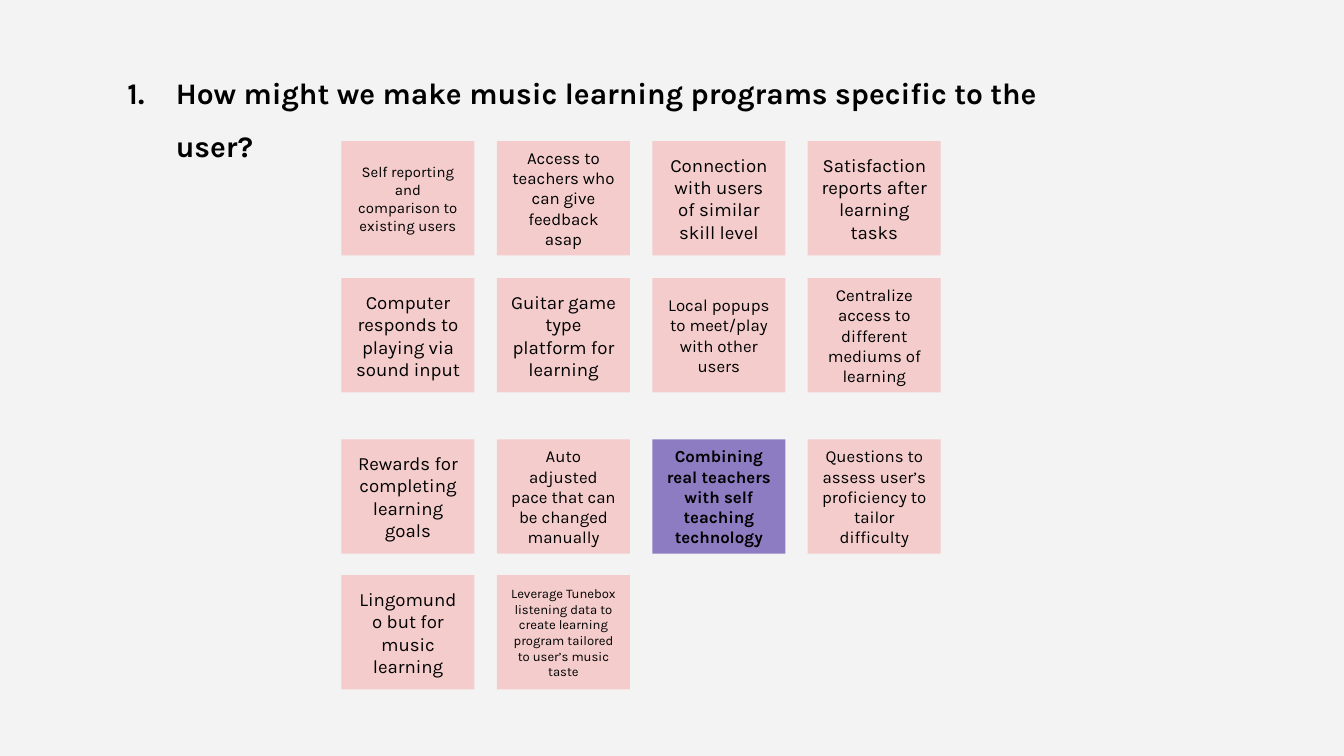
import pptx
import pptx.dml.color
import pptx.enum.shapes
import pptx.enum.text
import pptx.oxml
import pptx.oxml.ns
import pptx.util
from pptx.util import Inches

INK, PAPER, PINK, PURPLE = "000000", "F3F3F3", "F4CCCC", "8E7CC3"
LEFT, SPAN = 2.54, 3.47  # first column, and from first to last column


def paint(fill, color):
    fill.solid()
    fill.fore_color.rgb = pptx.dml.color.RGBColor.from_string(color)


class Board:
    face = "Karla"
    inset = Inches(0.1)

    def __init__(self, slide):
        self.slide = slide
        paint(slide.background.fill, PAPER)

    def pad(self, frame):
        frame.word_wrap = True
        frame.margin_left = frame.margin_right = self.inset
        frame.margin_top = frame.margin_bottom = self.inset

    def style(self, para, size, bold):
        font = para.font
        font.name, font.size, font.bold = self.face, pptx.util.Pt(size), bold
        paint(font.fill, INK)

    def note(self, x, y, text, size, color=PINK, bold=False):
        rect = pptx.enum.shapes.MSO_SHAPE.RECTANGLE
        shape = self.slide.shapes.add_shape(
            rect, Inches(x), Inches(y), Inches(0.99), Inches(0.85))
        shape.shadow.inherit = False
        paint(shape.fill, color)
        shape.line.fill.background()
        frame = shape.text_frame
        self.pad(frame)
        frame.vertical_anchor = pptx.enum.text.MSO_ANCHOR.MIDDLE
        para = frame.paragraphs[0]
        para.text = text
        para.alignment = pptx.enum.text.PP_ALIGN.CENTER
        self.style(para, size, bold)

    def title(self, x, y, w, h, text, size):
        box = self.slide.shapes.add_textbox(
            Inches(x), Inches(y), Inches(w), Inches(h))
        frame = box.text_frame
        self.pad(frame)
        frame.auto_size = pptx.enum.text.MSO_AUTO_SIZE.SHAPE_TO_FIT_TEXT
        para = frame.paragraphs[0]
        para.text = text
        para.line_spacing = 1.5
        # Automatic number with a hanging indent
        props = para._p.get_or_add_pPr()
        props.set("marL", str(Inches(0.5)))
        props.set("indent", str(Inches(-0.36)))
        space = pptx.oxml.ns.nsdecls("a")
        for item in (f'<a:buClr {space}><a:srgbClr val="{INK}"/></a:buClr>',
                     f'<a:buFont {space} typeface="{self.face}"/>',
                     f'<a:buAutoNum {space} type="arabicPeriod"/>'):
            props.append(pptx.oxml.parse_xml(item))
        self.style(para, size, True)


# Ideas by row: top edge, then text, size and any accent of each note
ROWS = [
    (1.05, [("Self reporting and comparison to existing users", 8),
            ("Access to teachers who can give feedback asap", 9),
            ("Connection with users of similar skill level", 10),
            ("Satisfaction reports after learning tasks", 10)]),
    (2.07, [("Computer responds to playing via sound input", 10),
            ("Guitar game type platform for learning", 10),
            ("Local popups to meet/play with other users", 9),
            ("Centralize access to different mediums of learning", 9)]),
    (3.27, [("Rewards for completing learning goals", 10),
            ("Auto adjusted pace that can be changed manually", 9),
            ("Combining real teachers with self teaching technology", 9,
             PURPLE, True),
            ("Questions to assess user’s proficiency to tailor difficulty", 9)]),
    (4.28, [("Lingomundo but for music learning", 10),
            ("Leverage Tunebox listening data to create learning program "
             "tailored to user’s music taste", 7)]),
]


def main():
    deck = pptx.Presentation()
    deck.slide_width = Inches(10)
    deck.slide_height = deck.slide_width * 9 // 16
    board = Board(deck.slides.add_slide(deck.slide_layouts[6]))

    # Grid of notes
    for top, notes in ROWS:
        for col, note in enumerate(notes):
            board.note(LEFT + SPAN * col / 3, top, *note)

    # Numbered question
    board.title(0.71, 0.32, 7.3, 0.47,
                "How might we make music learning programs specific "
                "to the user?", 16)

    deck.save("out.pptx")


if __name__ == "__main__":
    main()
